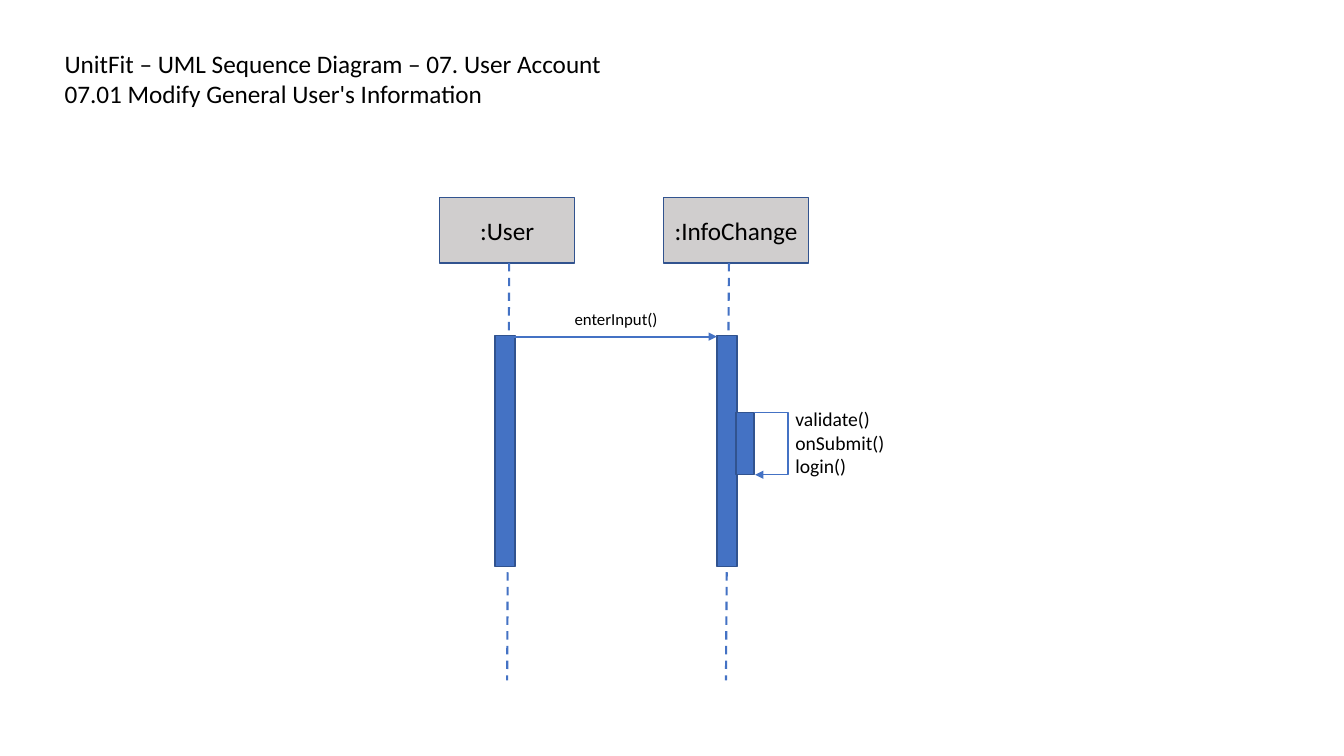
from dataclasses import dataclass

from lxml import etree
from pptx import Presentation
from pptx.dml.color import RGBColor
from pptx.enum.dml import MSO_LINE
from pptx.enum.shapes import MSO_CONNECTOR, MSO_SHAPE
from pptx.enum.text import MSO_ANCHOR, MSO_AUTO_SIZE, PP_ALIGN
from pptx.oxml.ns import qn
from pptx.util import Inches, Pt

RECT = MSO_SHAPE.RECTANGLE
LINE, ELBOW = MSO_CONNECTOR.STRAIGHT, MSO_CONNECTOR.ELBOW
DASH = MSO_LINE.DASH
LEFT, CENTER = PP_ALIGN.LEFT, PP_ALIGN.CENTER
TOP, MIDDLE = MSO_ANCHOR.TOP, MSO_ANCHOR.MIDDLE
NO_FIT = MSO_AUTO_SIZE.NONE


@dataclass(frozen=True)
class Theme:
    font: str = "Calibri"
    ink: RGBColor = RGBColor(0, 0, 0)
    head: RGBColor = RGBColor(0xD0, 0xCE, 0xCE)
    blue: RGBColor = RGBColor(0x44, 0x72, 0xC4)
    edge: RGBColor = RGBColor(0x31, 0x53, 0x8F)
    large: int = 18
    medium: int = 14
    small: int = 12
    thin: float = 1
    thick: float = 1.5


@dataclass(frozen=True)
class Actor:
    name: str
    left: float
    width: float
    bar: float
    start: float
    end: float


@dataclass(frozen=True)
class Label:
    text: str
    left: float
    top: float
    width: float
    height: float
    size: int


THEME = Theme()
ACTORS = [
    Actor(":User", 4.36, 1.34, 4.91, 5.05, 5.03),
    Actor(":InfoChange", 6.58, 1.44, 7.11, 7.23, 7.2),
]
LABELS = [
    Label("enterInput()", 5.6, 3.01, 1.44, 0.3, THEME.small),
    Label("validate()\nonSubmit()\nlogin()", 7.79, 3.99, 2.26, 0.81, THEME.medium),
]
HEAD_TOP, HEAD_HIGH = 1.96, 0.65
LIFE_END = 6.75
BAR_TOP, BAR_WIDE, BAR_HIGH = 3.33, 0.2, 2.29


def write(shape, text: str, size: int, align=LEFT, anchor=TOP) -> None:
    frame = shape.text_frame
    frame.text = text
    frame.word_wrap = True
    frame.auto_size = NO_FIT
    frame.vertical_anchor = anchor
    for para in frame.paragraphs:
        para.alignment = align
        for run in para.runs:
            run.font.name = THEME.font
            run.font.size = Pt(size)
            run.font.color.rgb = THEME.ink


def add_box(slide, left: float, top: float, width: float, height: float,
            fill: RGBColor):
    box = slide.shapes.add_shape(
        RECT, Inches(left), Inches(top), Inches(width), Inches(height))
    box.shadow.inherit = False
    box.fill.solid()
    box.fill.fore_color.rgb = fill
    box.line.color.rgb = THEME.edge
    box.line.width = Pt(THEME.thin)
    return box


def add_line(slide, kind, x1: float, y1: float, x2: float, y2: float,
             width: float, dash=None, arrow: bool = False):
    link = slide.shapes.add_connector(
        kind, Inches(x1), Inches(y1), Inches(x2), Inches(y2))
    link.line.color.rgb = THEME.blue
    link.line.width = Pt(width)
    if dash is not None:
        link.line.dash_style = dash
    if arrow:
        tail = etree.SubElement(link.line._get_or_add_ln(), qn("a:tailEnd"))
        tail.set("type", "triangle")
    etree.SubElement(link._element.spPr, qn("a:effectLst"))
    return link


def add_actor(slide, actor: Actor) -> None:
    head = add_box(slide, actor.left, HEAD_TOP, actor.width, HEAD_HIGH, THEME.head)
    write(head, actor.name, THEME.large, CENTER, MIDDLE)
    add_box(slide, actor.bar, BAR_TOP, BAR_WIDE, BAR_HIGH, THEME.blue)
    add_line(slide, LINE, actor.start, HEAD_TOP + HEAD_HIGH,
             actor.end, LIFE_END, THEME.thick, dash=DASH)


def add_label(slide, label: Label) -> None:
    box = slide.shapes.add_textbox(Inches(label.left), Inches(label.top),
                                   Inches(label.width), Inches(label.height))
    write(box, label.text, label.size)


def add_title(slide, text: str) -> None:
    title = slide.shapes.title
    title.left, title.top = Inches(0.54), Inches(0.43)
    title.width, title.height = Inches(5.64), Inches(0.71)
    write(title, text, THEME.large)


def main() -> None:
    deck = Presentation()
    deck.slide_width, deck.slide_height = Inches(13.33), Inches(7.5)
    slide = deck.slides.add_slide(deck.slide_layouts.get_by_name("Title Only"))
    add_title(slide, "UnitFit – UML Sequence Diagram – 07. User Account\n"
                     "07.01 Modify General User's Information")

    # Actors with lifelines
    for actor in ACTORS:
        add_actor(slide, actor)

    # Message from user to form
    add_line(slide, LINE, 5.01, 3.34, 7.11, 3.34, THEME.thick, arrow=True)

    # Nested call and its loop, which bends far outside its narrow width
    add_box(slide, 7.3, 4.09, 0.18, 0.62, THEME.blue)
    loop = add_line(slide, ELBOW, 7.48, 4.09, 7.49, 4.71, THEME.thin, arrow=True)
    guide = etree.SubElement(loop._element.spPr.prstGeom.get_or_add_avLst(),
                             qn("a:gd"))
    guide.set("name", "adj1")
    guide.set("fmla", "val 3400000")

    for label in LABELS:
        add_label(slide, label)
    deck.save("out.pptx")


if __name__ == "__main__":
    main()
